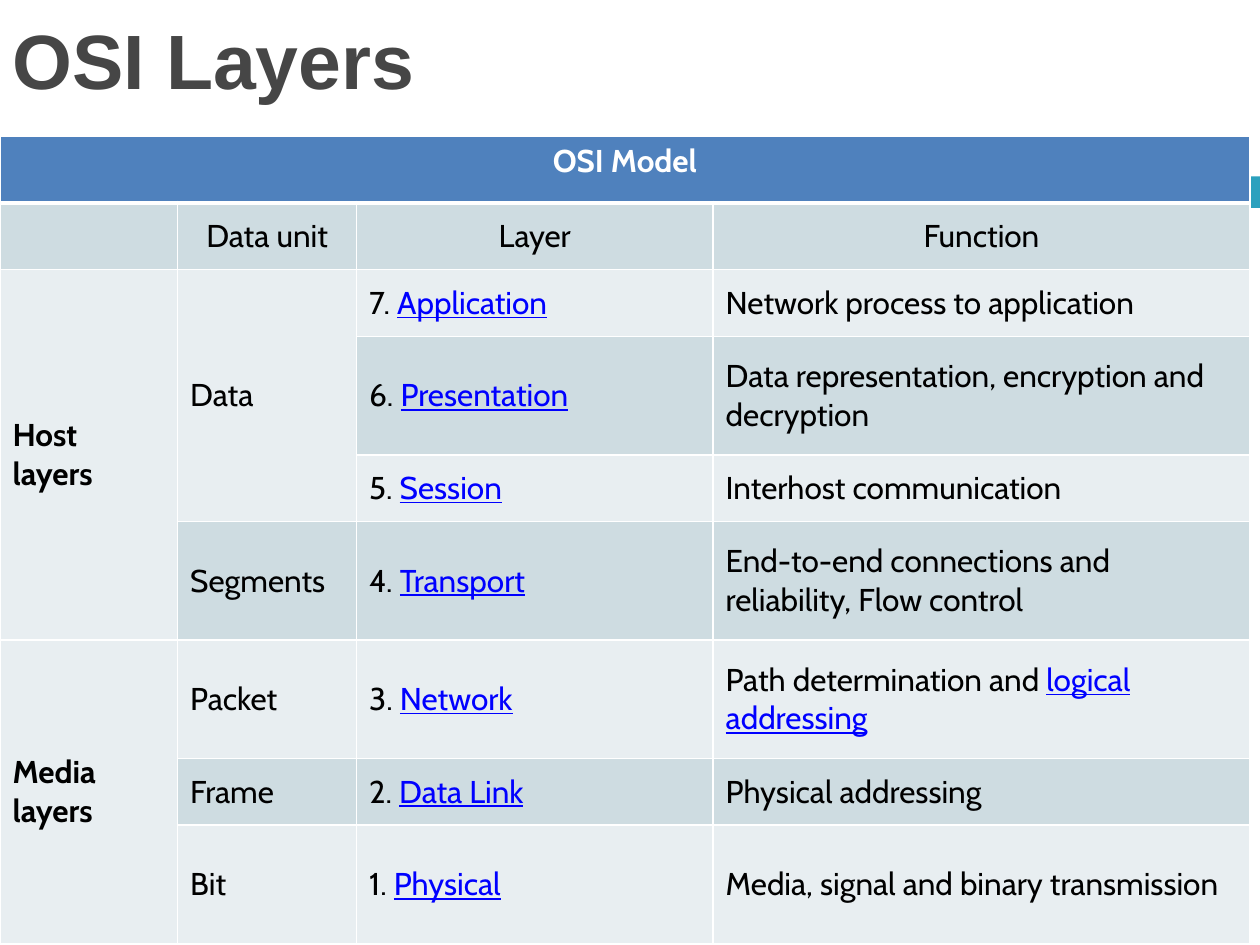
from lxml import etree
from pptx import Presentation
from pptx.dml.color import RGBColor
from pptx.enum.shapes import MSO_SHAPE
from pptx.enum.text import MSO_ANCHOR, PP_ALIGN
from pptx.oxml.ns import qn
from pptx.util import Inches, Pt

RECTANGLE = MSO_SHAPE.RECTANGLE
MIDDLE, TOP = MSO_ANCHOR.MIDDLE, MSO_ANCHOR.TOP
CENTER, LEFT = PP_ALIGN.CENTER, PP_ALIGN.LEFT

COLORS = {
    "title": "464646",
    "accent": "2CA1BE",
    "header": "4F81BD",
    "dark_band": "CEDCE1",
    "light_band": "E8EEF1",
    "white": "FFFFFF",
    "text": "000000",
    "link": "0000FF",
}
TITLE = "OSI Layers"
TABLE_TITLE = "OSI Model"
HEADINGS = ["", "Data unit", "Layer", "Function"]
LAYERS = [
    ("Host\nlayers", "Data", "Application", "Network process to application", ""),
    ("", "", "Presentation", "Data representation, encryption and decryption", ""),
    ("", "", "Session", "Interhost communication", ""),
    ("", "Segments", "Transport", "End-to-end connections and reliability, Flow control", ""),
    ("Media\nlayers", "Packet", "Network", "Path determination and ", "logical addressing"),
    ("", "Frame", "Data Link", "Physical addressing", ""),
    ("", "Bit", "Physical", "Media, signal and binary transmission", ""),
]
MERGES = [((0, 0), (0, 3)), ((2, 0), (5, 0)), ((2, 1), (4, 1)), ((6, 0), (8, 0))]
COLUMN_WIDTHS = [1.41, 1.42, 2.83, 4.26]
SHORT, TALL = 0.53, 0.94
ROW_HEIGHTS = [SHORT, SHORT, SHORT, TALL, SHORT, TALL, TALL, SHORT, TALL]


def color(name):
    return RGBColor.from_string(COLORS[name])


def add_text(para, text, size=18, font="Cabin", fill="text", bold=False,
             underline=False, align=LEFT):
    para.alignment = align
    for index, line in enumerate(text.split("\n")):
        if index:
            para.add_line_break()
        span = para.add_run()
        span.text = line
        span.font.size = Pt(size)
        span.font.name = font
        span.font.bold = bold
        span.font.underline = underline
        span.font.color.rgb = color(fill)


def add_link(para, text):
    add_text(para, text, fill="link", underline=True)


def set_borders(cell, **widths):
    properties = cell._tc.get_or_add_tcPr()
    for side in "LRTB":
        line = etree.SubElement(properties, qn(f"a:ln{side}"), w=str(Pt(widths.get(side, 1))))
        solid = etree.SubElement(line, qn("a:solidFill"))
        etree.SubElement(solid, qn("a:srgbClr"), val=COLORS["white"])


def style_table(table):
    for column, width in zip(table.columns, COLUMN_WIDTHS):
        column.width = Inches(width)
    for number, (row, height) in enumerate(zip(table.rows, ROW_HEIGHTS)):
        row.height = Inches(height)
        band = "header" if number == 0 else "dark_band" if number % 2 else "light_band"
        widths = {0: {"B": 3}, 1: {"T": 3}}.get(number, {})
        for cell in row.cells:
            set_borders(cell, **widths)
            cell.fill.solid()
            cell.fill.fore_color.rgb = color(band)
            cell.vertical_anchor = MIDDLE if number else TOP
    for first, last in MERGES:
        table.cell(*first).merge(table.cell(*last))


def fill_table(table):
    def paragraph(row, column):
        return table.cell(row, column).text_frame.paragraphs[0]

    add_text(paragraph(0, 0), TABLE_TITLE, fill="white", bold=True, align=CENTER)
    for column, heading in enumerate(HEADINGS):
        if heading:
            add_text(paragraph(1, column), heading, align=CENTER)
    for index, (group, unit, layer, function, link) in enumerate(LAYERS):
        row = index + 2
        if group:
            add_text(paragraph(row, 0), group, bold=True)
        if unit:
            add_text(paragraph(row, 1), unit)
        add_text(paragraph(row, 2), f"{len(LAYERS) - index}. ")
        add_link(paragraph(row, 2), layer)
        add_text(paragraph(row, 3), function)
        if link:
            add_link(paragraph(row, 3), link)


def main():
    deck = Presentation()
    deck.slide_width, deck.slide_height = Inches(10), Inches(7.5)
    page = deck.slides.add_slide(deck.slide_layouts[6])

    bar = page.shapes.add_shape(RECTANGLE, Inches(0.65), Inches(1.4), Inches(9.35), Inches(0.25))
    bar.shadow.inherit = False
    bar.fill.solid()
    bar.fill.fore_color.rgb = color("accent")
    bar.line.fill.background()

    box = page.shapes.add_textbox(0, 0, Inches(8.52), Inches(0.76))
    frame = box.text_frame
    frame.word_wrap = True
    frame.margin_top, frame.margin_bottom = Inches(0.1), 0
    add_text(frame.paragraphs[0], TITLE, size=44, font="Arial", fill="title", bold=True)

    table = page.shapes.add_table(
        len(ROW_HEIGHTS), len(COLUMN_WIDTHS), 0, Inches(1.08),
        Inches(sum(COLUMN_WIDTHS)), Inches(sum(ROW_HEIGHTS))).table
    style_table(table)
    fill_table(table)
    deck.save("out.pptx")


if __name__ == "__main__":
    main()
